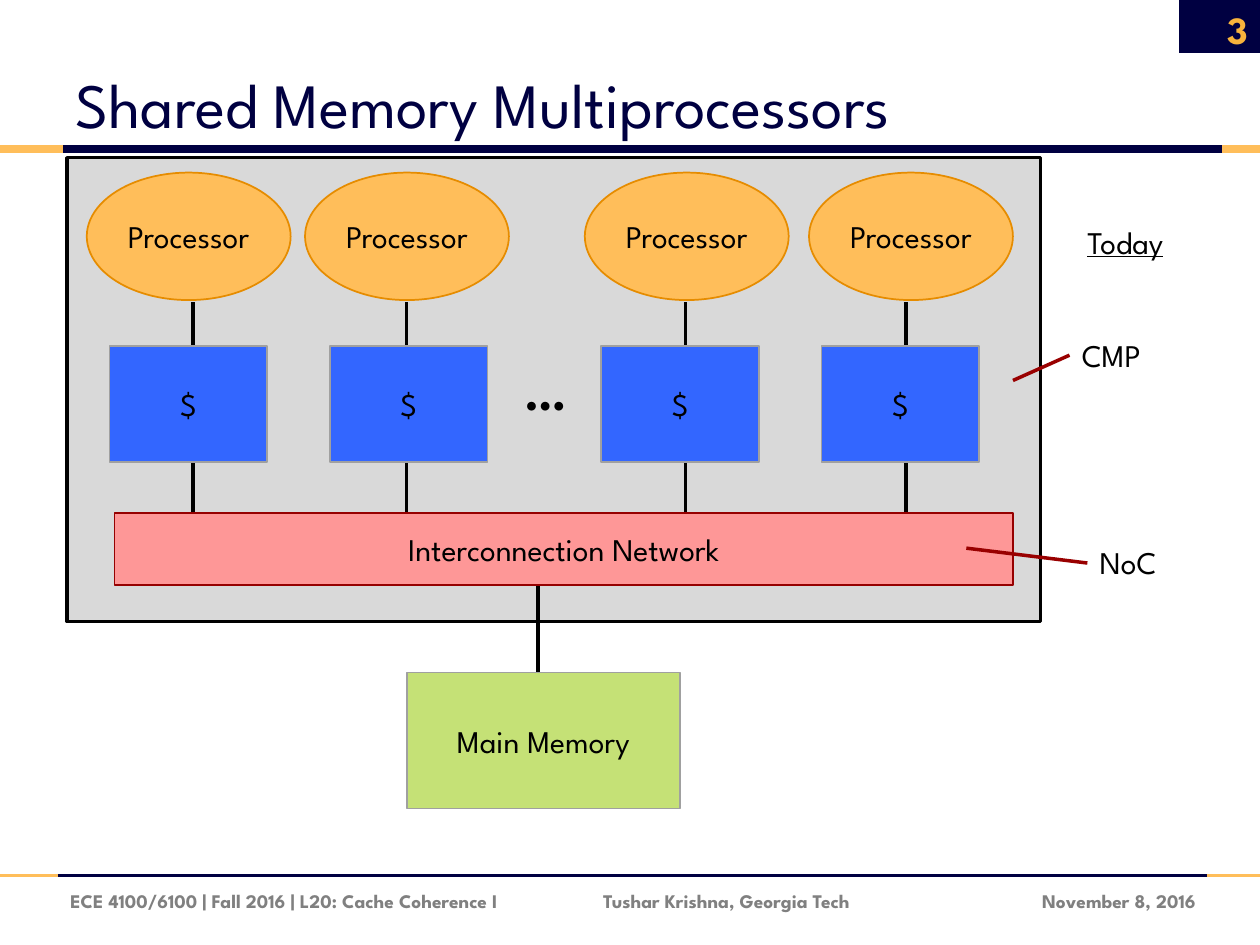
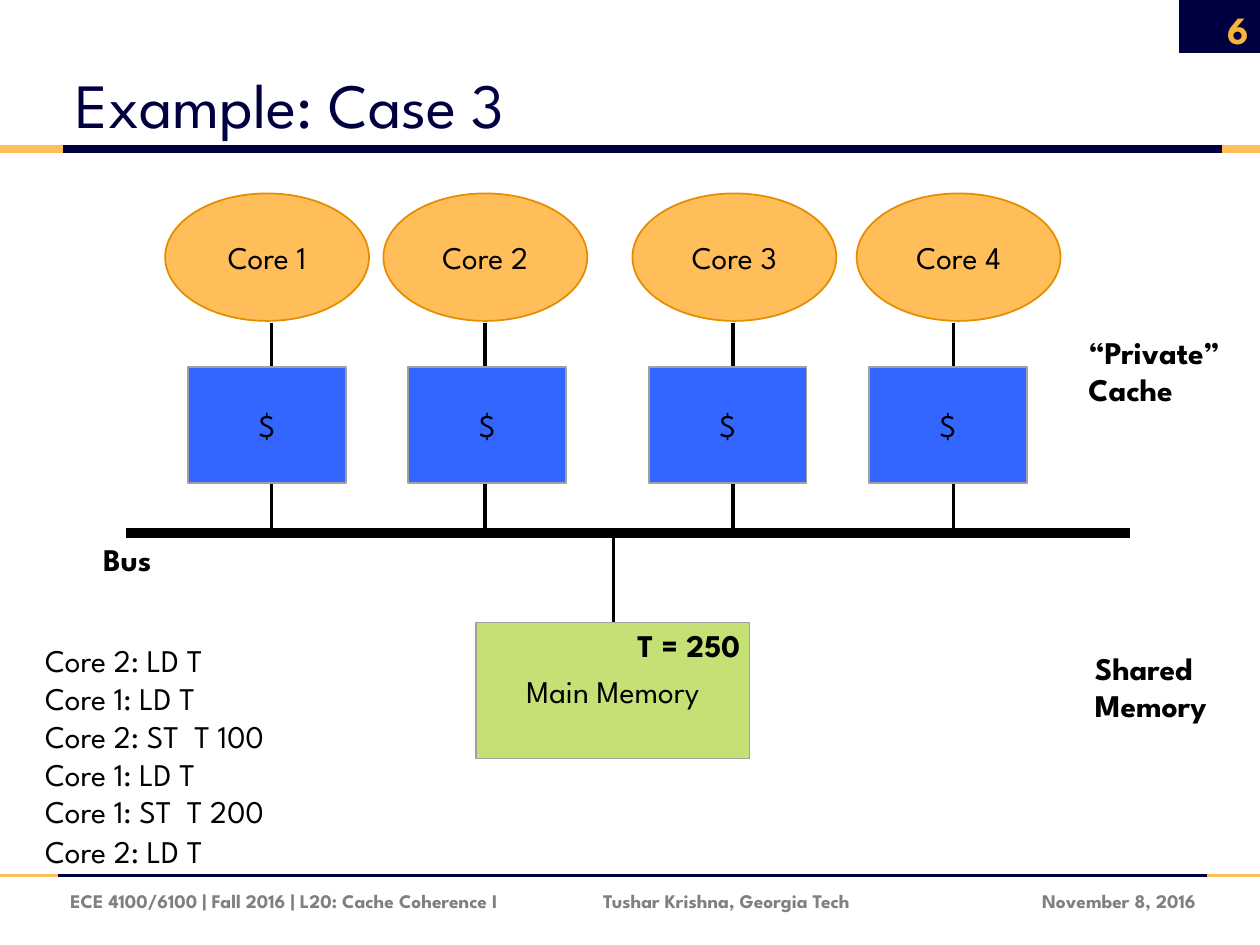
from pptx import Presentation
from pptx.dml.color import RGBColor
from pptx.enum.shapes import MSO_CONNECTOR as Link, MSO_SHAPE as Kind
from pptx.enum.text import MSO_ANCHOR as Anchor, MSO_AUTO_SIZE as Fit, PP_ALIGN as Align
from pptx.oxml.ns import qn
from pptx.util import Cm, Pt
from lxml.etree import SubElement

FONT = "League Spartan"
BLACK = RGBColor(0x00, 0x00, 0x00)
NAVY = RGBColor(0x00, 0x00, 0x41)
GOLD = RGBColor(0xFF, 0xBE, 0x5A)
AMBER = RGBColor(0xF8, 0xB3, 0x3C)
ORANGE = RGBColor(0xE6, 0x8C, 0x00)
BLUE = RGBColor(0x33, 0x66, 0xFF)
GREEN = RGBColor(0xC5, 0xE1, 0x76)
PINK = RGBColor(0xFE, 0x97, 0x97)
MAROON = RGBColor(0x96, 0x00, 0x00)
RED = RGBColor(0x99, 0x00, 0x00)
SILVER = RGBColor(0xD9, 0xD9, 0xD9)
GREY = RGBColor(0xA0, 0xA0, 0xA0)
SLATE = RGBColor(0x80, 0x80, 0x80)


def line(slide, x1, y1, x2, y2, tint=BLACK, width=2):
    rule = slide.shapes.add_connector(Link.STRAIGHT, Cm(x1), Cm(y1), Cm(x2), Cm(y2))
    rule.line.color.rgb = tint
    rule.line.width = Pt(width)
    SubElement(rule._element.spPr, qn("a:effectLst"))


def put(slide, kind, x, y, w, h, text="", fill=None, edge=None, thick=1, size=18,
        bold=False, tint=BLACK, align=Align.LEFT, anchor=Anchor.TOP, wrap=True):
    area = Cm(x), Cm(y), Cm(w), Cm(h)
    if kind is None:
        shape = slide.shapes.add_textbox(*area)
    else:
        shape = slide.shapes.add_shape(kind, *area)
        shape.shadow.inherit = False
        shape.fill.solid()
        shape.fill.fore_color.rgb = fill
        if edge is None:
            shape.line.fill.background()
        else:
            shape.line.color.rgb = edge
            shape.line.width = Pt(thick)
        align, anchor = Align.CENTER, Anchor.MIDDLE
    frame = shape.text_frame
    frame.word_wrap = wrap
    frame.vertical_anchor = anchor
    for i, row in enumerate(text.split("\n") if text else []):
        para = frame.add_paragraph() if i else frame.paragraphs[0]
        para.alignment = align
        run = para.add_run()
        run.text = row
        run.font.name = FONT
        run.font.size = Pt(size)
        run.font.bold = bold
        run.font.color.rgb = tint
    return shape


deck = Presentation()
deck.slide_width, deck.slide_height = Cm(25.4), Cm(19.05)

pages = []
for name, number in (("Shared Memory Multiprocessors", "3"), ("Example: Case 3", "6")):
    slide = deck.slides.add_slide(deck.slide_layouts[5])
    pages.append(slide)

    title = slide.shapes.title
    title.left, title.top, title.width, title.height = Cm(1.27), Cm(0.43), Cm(20.78), Cm(2.54)
    frame = title.text_frame
    frame.auto_size = Fit.NONE
    frame.word_wrap = True
    frame.vertical_anchor = Anchor.BOTTOM
    frame.paragraphs[0].alignment = Align.LEFT
    run = frame.paragraphs[0].add_run()
    run.text = name
    run.font.name = FONT
    run.font.size = Pt(36)
    run.font.color.rgb = NAVY

    for y, left, right, width in ((3, 1.27, 24.64, 4.5), (17.65, 1.17, 24.33, 2.25)):
        line(slide, left, y, right, y, NAVY, width)
        line(slide, 0, y, left, y, GOLD, width)
        line(slide, right, y, 25.4, y, GOLD, width)

    put(slide, Kind.RECTANGLE, 23.77, 0, 1.63, 1.07, fill=NAVY)
    put(slide, None, 23.72, 0.08, 1.7, 1.02, number, size=22, bold=True, tint=AMBER,
        align=Align.RIGHT, anchor=Anchor.MIDDLE)
    for x, w, text, align in (
        (1.17, 10.5, "ECE 4100/6100 | Fall 2016 | L20: Cache Coherence I", Align.LEFT),
        (11.91, 6.5, "Tushar Krishna, Georgia Tech", Align.LEFT),
        (19.48, 4.88, "November 8, 2016", Align.RIGHT),
    ):
        put(slide, None, x, 17.65, w, 1.02, text, size=11, bold=True, tint=SLATE,
            align=align, anchor=Anchor.MIDDLE)

shared, case = pages
put(shared, Kind.RECTANGLE, 1.35, 3.18, 19.63, 9.35, fill=SILVER, edge=BLACK, thick=2)

offsets = (((0, 0.46, 2.14), (4.4, 4.9, 6.45)), ((0, 0.33, 2.03), (4.52, 4.77, 6.47)))
for slide, starts, top, names in (
    (shared, (1.75, 11.79), 3.48, ["Processor"] * 4),
    (case, (3.33, 12.75), 3.9, [f"Core {n}" for n in range(1, 5)]),
):
    labels = iter(names)
    for start, pair in zip(starts, offsets):
        for oval, cache, wire in pair:
            line(slide, start + wire, top + 2.61, start + wire, top + 6.86)
            put(slide, Kind.RECTANGLE, start + cache, top + 3.5, 3.18, 2.34, "$",
                BLUE, GREY, wrap=False)
            core = put(slide, Kind.OVAL, start + oval, top, 4.11, 2.57, next(labels), GOLD, ORANGE)
            core.text_frame.margin_left = core.text_frame.margin_right = 0

for slide, wire, start, x, y in ((shared, 10.85, 11.79, 8.2, 13.56), (case, 12.37, 10.74, 9.6, 12.55)):
    line(slide, wire, start, wire, y)
    put(slide, Kind.RECTANGLE, x, y, 5.51, 2.74, "Main Memory", GREEN, GREY, wrap=False)

put(shared, Kind.RECTANGLE, 2.31, 10.34, 18.11, 1.45, "Interconnection Network",
    PINK, MAROON, wrap=False)
put(shared, None, 10.34, 7.16, 1.07, 1.45, "…", size=28, bold=True)
today = put(shared, None, 21.67, 4.37, 2.69, 1.02, "Today")
today.text_frame.paragraphs[0].runs[0].font.underline = True
put(shared, None, 21.56, 6.65, 2.69, 1.02, "CMP")
put(shared, None, 21.92, 10.82, 2.69, 1.02, "NoC")
line(shared, 21.56, 7.16, 20.42, 7.67, RED)
line(shared, 21.92, 11.35, 19.48, 11.05, RED)

line(case, 2.54, 10.74, 22.78, 10.74, width=6)
for x, y, w, h, text in (
    (1.83, 10.77, 1.93, 1.02, "Bus"),
    (21.69, 6.58, 3.38, 1.8, "“Private” Cache"),
    (21.82, 12.95, 3.38, 1.8, "Shared Memory"),
    (12.6, 12.5, 2.95, 1.02, "T = 250"),
):
    put(case, None, x, y, w, h, text, bold=True)
put(case, None, 0.66, 12.8, 6.25, 4.11,
    "Core 2: LD T\nCore 1: LD T\nCore 2: ST  T 100\nCore 1: LD T\nCore 1: ST  T 200")
put(case, None, 0.66, 16.64, 4.17, 1.02, "Core 2: LD T", wrap=False)

deck.save("out.pptx")
